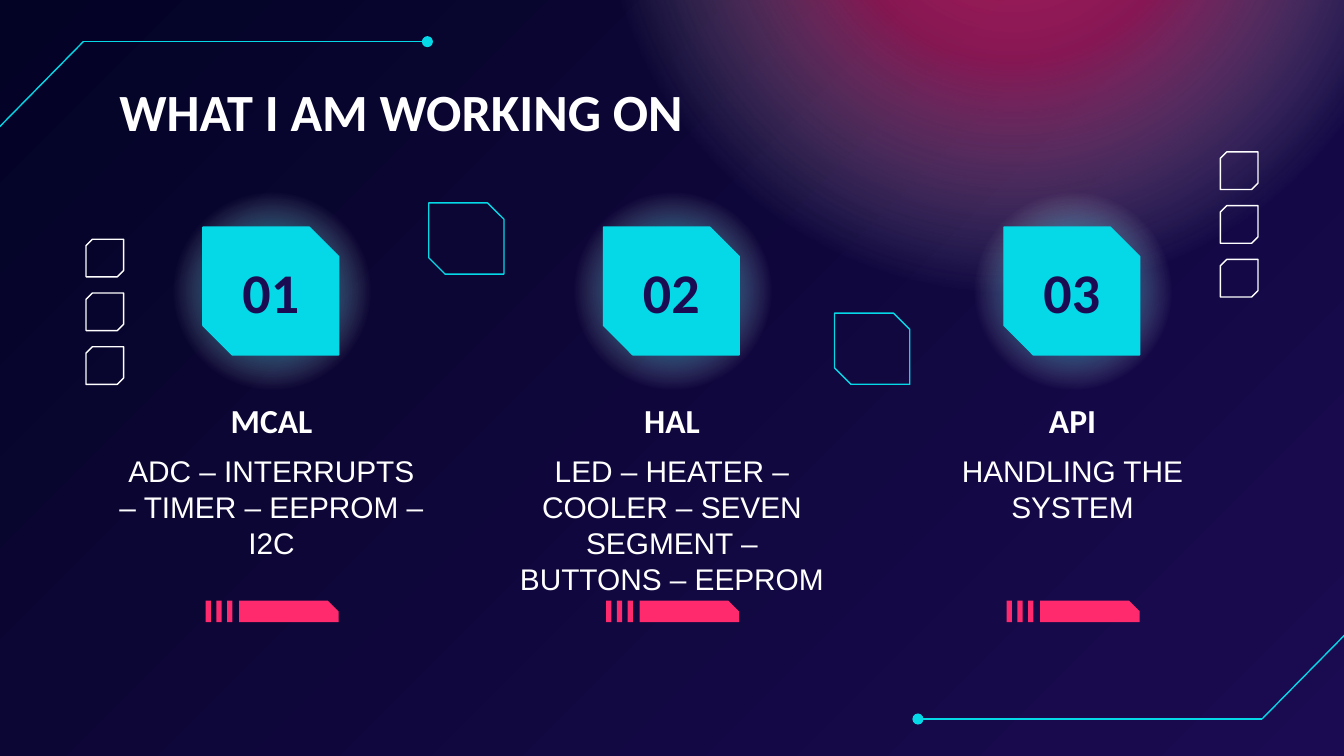
"""Build the "What I am working on" slide: three numbered topics on a dark gradient."""
import pptx
import pptx.dml.color
import pptx.enum.shapes
import pptx.enum.text
import pptx.oxml
import pptx.oxml.ns
import pptx.util

Inches = pptx.util.Inches
Pt = pptx.util.Pt
SHAPE = pptx.enum.shapes.MSO_SHAPE
ANCHOR = pptx.enum.text.MSO_ANCHOR
ALIGN = pptx.enum.text.PP_ALIGN

CYAN, PINK, WHITE, NAVY, NIGHT = "05D8E7", "FF296D", "FFFFFF", "1B0B52", "030325"
TITLE = "WHAT I AM WORKING ON"
TOPICS = [
    ("01", "MCAL", "ADC – INTERRUPTS – TIMER – EEPROM – I2C"),
    ("02", "HAL", "LED – HEATER – COOLER – SEVEN SEGMENT –BUTTONS – EEPROM"),
    ("03", "API", "HANDLING THE SYSTEM"),
]
FIRST_CENTER, COLUMN_PITCH = 2.02, 2.98
CORNER_ROUTE = [(-0.01, 0.95), (0.62, 0.31), (3.18, 0.31)]
OUTLINE_TILES = [(3.19, 1.51), (6.21, 2.33)]
SQUARE_STACKS = [(9.08, 1.13), (0.64, 1.78)]
SQUARE_PITCH = 0.4

deck = pptx.Presentation()
deck.slide_width, deck.slide_height = Inches(10), Inches(10 * 9 / 16)
page = deck.slides.add_slide(deck.slide_layouts[6])


def color(value):
    return pptx.dml.color.RGBColor.from_string(value)


def add_shape(kind, left, top, width, height, fill=None, line=None, snip=None):
    shape = page.shapes.add_shape(
        kind, Inches(left), Inches(top), Inches(width), Inches(height))
    shape.shadow.inherit = False
    if fill:
        shape.fill.solid()
        shape.fill.fore_color.rgb = color(fill)
    else:
        shape.fill.background()
    if line:
        shape.line.color.rgb = color(line)
        shape.line.width = Pt(0.75)
    else:
        shape.line.fill.background()
    if snip:
        shape.adjustments[len(shape.adjustments) - 1] = snip
    return shape


def add_glow(left, top, size, tint, core, middle):
    shape = add_shape(SHAPE.OVAL, left, top, size, size)
    stops = [(0, tint, core), (30, tint, middle), (69, WHITE, 0), (100, WHITE, 0)]
    stop_xml = "".join(
        f'<a:gs pos="{place * 1000}"><a:srgbClr val="{value}">'
        f'<a:alpha val="{opacity * 1000}"/></a:srgbClr></a:gs>'
        for place, value, opacity in stops)
    gradient = pptx.oxml.parse_xml(
        f'<a:gradFill {pptx.oxml.ns.nsdecls("a")} rotWithShape="1">'
        f'<a:gsLst>{stop_xml}</a:gsLst><a:path path="circle">'
        '<a:fillToRect l="50000" t="50000" r="50000" b="50000"/></a:path></a:gradFill>')
    properties = shape.element.spPr
    properties.replace(properties.find(pptx.oxml.ns.qn("a:noFill")), gradient)


def add_line(start, end, dot):
    line = page.shapes.add_connector(
        pptx.enum.shapes.MSO_CONNECTOR.STRAIGHT,
        *(Inches(value) for value in start + end))
    line.line.color.rgb = color(CYAN)
    line.line.width = Pt(0.75)
    namespace = pptx.oxml.ns.nsdecls("a")
    properties = line.element.spPr
    if dot:
        properties.find(pptx.oxml.ns.qn("a:ln")).append(
            pptx.oxml.parse_xml(f'<a:tailEnd {namespace} type="oval"/>'))
    properties.append(pptx.oxml.parse_xml(f"<a:effectLst {namespace}/>"))


def add_text(text, left, top, width, height, size, font="Calibri", tint=WHITE,
             bold=True, align=ALIGN.CENTER, anchor=ANCHOR.MIDDLE):
    box = page.shapes.add_textbox(
        Inches(left), Inches(top), Inches(width), Inches(height))
    frame = box.text_frame
    frame.text = text
    frame.word_wrap = True
    frame.vertical_anchor = anchor
    frame.margin_left = frame.margin_right = Inches(0.1)
    frame.margin_top = frame.margin_bottom = Inches(0.1)
    para = frame.paragraphs[0]
    para.alignment = align
    para.line_spacing = 1.0
    span = para.runs[0].font
    span.name, span.size, span.bold = font, Pt(size), bold
    span.color.rgb = color(tint)


backdrop = page.background.fill
backdrop.gradient()
backdrop.gradient_angle = 315
for stop, place, value in zip(backdrop.gradient_stops, (0, 1), (NIGHT, NAVY)):
    stop.position = place
    stop.color.rgb = color(value)

add_glow(4.41, -3.99, 6.25, PINK, 67, 49)
opposite_route = [(10.01 - x, 5.66 - y) for x, y in CORNER_ROUTE]
for outer, bend, inner in (CORNER_ROUTE, opposite_route):
    add_line(outer, bend, dot=False)
    add_line(bend, inner, dot=True)

add_text(TITLE, 0.79, 0.49, 7.85, 0.67, 28, align=ALIGN.LEFT, anchor=ANCHOR.TOP)

for column, (number, heading, detail) in enumerate(TOPICS):
    center = FIRST_CENTER + column * COLUMN_PITCH
    add_glow(center - 0.75, 1.41, 1.51, CYAN, 71, 48)
    add_shape(SHAPE.SNIP_2_DIAG_RECTANGLE, center - 0.51, 1.69, 1.01, 0.95,
              CYAN, CYAN, 0.23)
    add_text(number, center - 0.43, 1.9, 0.85, 0.53, 30, tint=NAVY)
    add_text(heading, center - 1.24, 2.93, 2.48, 0.39, 18)
    add_text(detail, center - 1.24, 3.27, 2.48, 1.01, 16, "Arial",
             bold=False, anchor=ANCHOR.TOP)
    for tick in range(3):
        add_shape(SHAPE.RECTANGLE, center - 0.49 + tick * 0.08, 4.47, 0.04, 0.16, PINK)
    add_shape(SHAPE.SNIP_1_RECTANGLE, center - 0.24, 4.47, 0.74, 0.16, PINK, snip=0.5)

for left, top in OUTLINE_TILES:
    add_shape(SHAPE.SNIP_2_DIAG_RECTANGLE, left, top, 0.56, 0.53, line=CYAN, snip=0.23)

for left, top in SQUARE_STACKS:
    for row in range(3):
        square = add_shape(SHAPE.SNIP_2_DIAG_RECTANGLE, left, top + row * SQUARE_PITCH,
                           0.28, 0.28, line=WHITE, snip=0.17)
        square.rotation = 90

deck.save("out.pptx")
